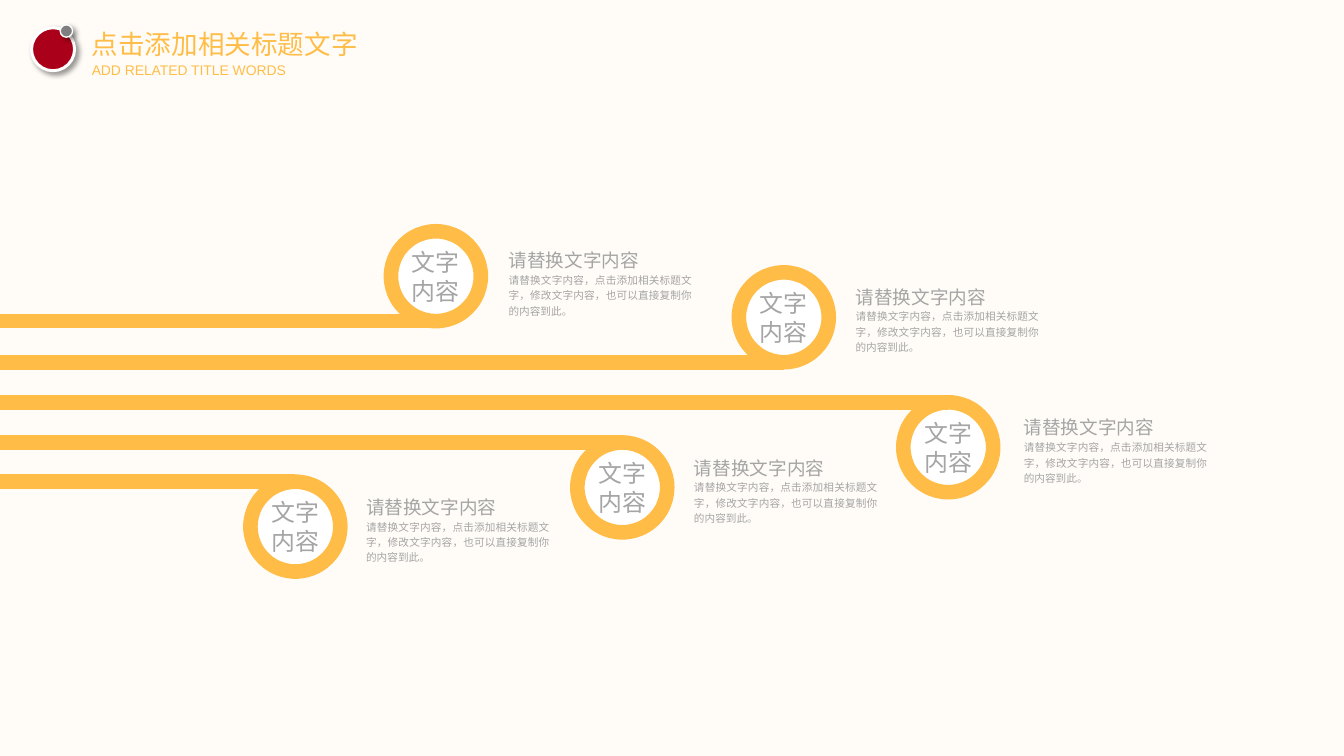
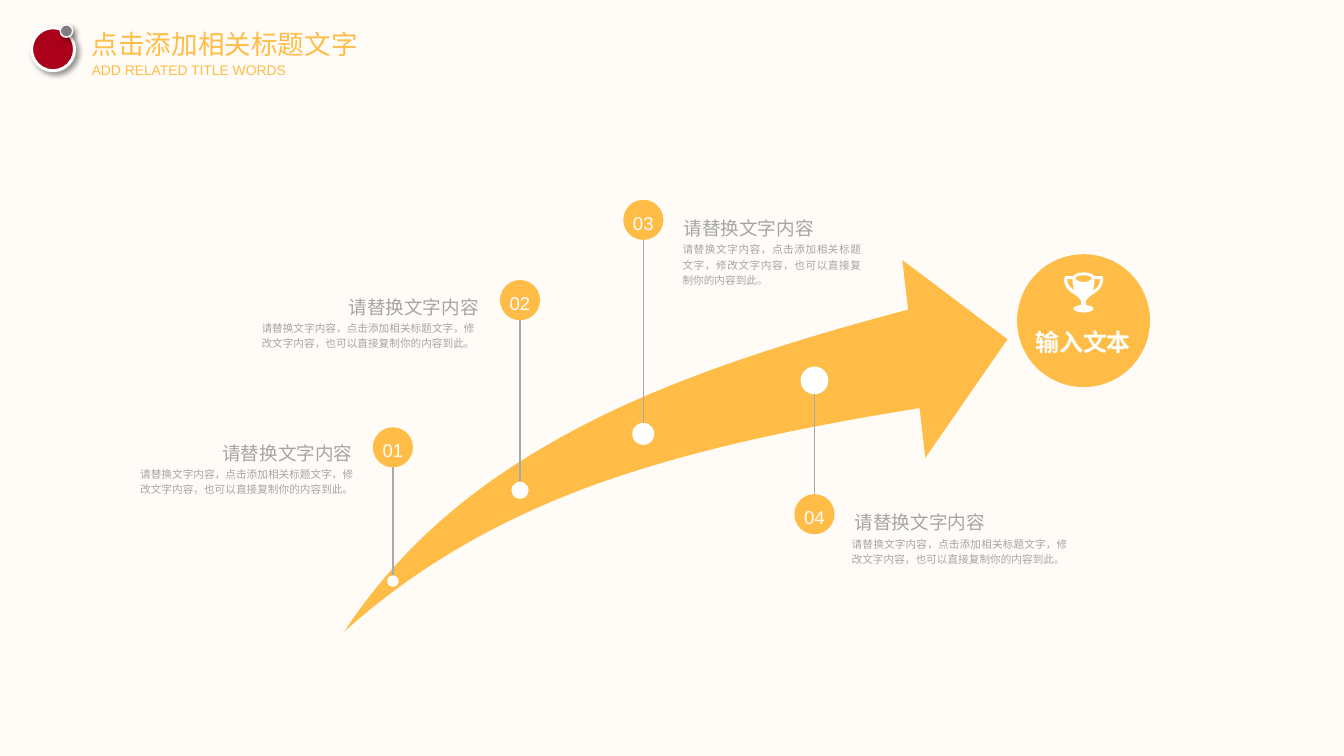
from lxml.etree import SubElement
from pptx import Presentation
from pptx.dml.color import RGBColor
from pptx.enum.shapes import MSO_CONNECTOR, MSO_SHAPE, MSO_SHAPE_TYPE
from pptx.enum.text import MSO_ANCHOR, MSO_AUTO_SIZE, PP_ALIGN
from pptx.oxml.ns import qn
from pptx.util import Pt

PX = 9144  # 100 px to the inch
ORANGE, GRAY, WHITE = "FFBD47", "A5A5A5", "FFFFFF"
LEFT, CENTER, RIGHT, JUSTIFY = PP_ALIGN.LEFT, PP_ALIGN.CENTER, PP_ALIGN.RIGHT, PP_ALIGN.JUSTIFY
TOP, MIDDLE = MSO_ANCHOR.TOP, MSO_ANCHOR.MIDDLE
HEADING = "请替换文字内容"
BODY = "请替换文字内容，点击添加相关标题文字，修改文字内容，也可以直接复制你的内容到此。"
rgb = RGBColor.from_string


def add_oval(s, left, top, size, fill, line=None, width=0):
    sp = s.shapes.add_shape(MSO_SHAPE.OVAL, *(int(v * PX) for v in (left, top, size, size)))
    sp.shadow.inherit = False
    sp.fill.solid()
    sp.fill.fore_color.rgb = rgb(fill)
    if line:
        sp.line.color.rgb = rgb(line)
        sp.line.width = Pt(width)
    else:
        sp.line.fill.background()
    return sp


def write(sp, text, size, color, align=LEFT, anchor=TOP, spacing=1.0, bold=False):
    """Fill a shape with one paragraph, without insets."""
    tf = sp.text_frame
    tf.text = text
    tf.word_wrap = True
    tf.auto_size = MSO_AUTO_SIZE.NONE
    tf.vertical_anchor = anchor
    tf.margin_left = tf.margin_top = tf.margin_right = tf.margin_bottom = 0
    p = tf.paragraphs[0]
    p.alignment = align
    p.line_spacing = spacing
    font = p.runs[0].font
    font.name = "Arial"
    font.size = Pt(size)
    font.bold = bold
    font.color.rgb = rgb(color)


prs = Presentation()
prs.slide_width, prs.slide_height = 1406 * PX, 791 * PX
bg = prs.slide_master.background.fill
bg.solid()
bg.fore_color.rgb = rgb("FFFCF8")

# Shared header
layout = prs.slide_layouts[5]
title = layout.placeholders[0]
title.left, title.top, title.width, title.height = (v * PX for v in (96, 29, 280, 34))
for _ in range(2):
    s = prs.slides.add_slide(layout)
    write(s.shapes.title, "点击添加相关标题文字", 20, ORANGE)
    subtitle = s.shapes.add_textbox(96 * PX, 64 * PX, 208 * PX, 18 * PX)
    write(subtitle, "ADD RELATED TITLE WORDS", 10.5, ORANGE)
    for left, top, size, fill, width in ((33, 29, 45, "AB0019", 2.25), (63, 26, 13, "7F7F7F", 1)):
        sp = add_oval(s, left, top, size, fill, WHITE, width)
        effects = sp._element.spPr.find(qn("a:effectLst"))
        shadow = SubElement(effects, qn("a:outerShdw"), blurRad="50800", dist="38100",
                            dir="2700000", algn="tl", rotWithShape="0")
        black = SubElement(shadow, qn("a:srgbClr"), val="000000")
        SubElement(black, qn("a:alpha"), val="40000")
rings_slide, arrow_slide = prs.slides

# Slide 1: rings at the ends of bars; left, top, bar y, caption left, caption top
RING = 94
rings = [
    (409, 242, 336, 532, 256),
    (773, 285, 379, 895, 294),
    (604, 463, 463, 726, 473),
    (945, 421, 421, 1071, 431),
    (262, 504, 504, 383, 514),
]
s = rings_slide
for left, top, bar_y, caption_x, caption_y in rings:
    ring = add_oval(s, left, top, RING, WHITE, ORANGE, 11)
    write(ring, "文字内容", 18, GRAY, CENTER, MIDDLE)
    bar = s.shapes.add_connector(MSO_CONNECTOR.STRAIGHT, (left + RING // 2) * PX, bar_y * PX,
                                 0, bar_y * PX)
    bar.line.color.rgb = rgb(ORANGE)
    bar.line.width = Pt(11)
    for text, size, y, w, h in ((HEADING, 14, caption_y, 148, 28), (BODY, 8, caption_y + 28, 192, 50)):
        sp = s.shapes.add_textbox(caption_x * PX, y * PX, w * PX, h * PX)
        write(sp, text, size, GRAY, JUSTIFY, spacing=1.2)

# Slide 2: arrow and trophy; in each contour two numbers are a point, six a curve
arrow = [[
    (360, 661), (415, 577, 490, 511, 586, 458), (684, 403, 806, 362, 950, 324),
    (944, 272), (1054, 355), (968, 479), (962, 427),
    (830, 448, 715, 473, 617, 509), (517, 546, 432, 596, 360, 661),
]]
trophy = [
    [(1116, 292), (1122, 292), (1122, 298, 1123, 302, 1125, 304), (1121, 302, 1117, 299, 1116, 292)],
    [(1134, 288), (1140, 288, 1142, 290, 1142, 291), (1142, 292, 1140, 295, 1134, 295),
     (1127, 295, 1125, 292, 1125, 291), (1125, 290, 1127, 288, 1134, 288)],
    [(1143, 304), (1144, 302, 1145, 298, 1145, 292), (1151, 292), (1151, 299, 1147, 302, 1143, 304)],
    [(1136, 316), (1136, 313, 1139, 311, 1143, 308), (1148, 305, 1154, 301, 1154, 291),
     (1154, 290, 1154, 289, 1153, 289), (1145, 289), (1144, 287, 1140, 285, 1134, 285),
     (1127, 285, 1124, 287, 1123, 289), (1115, 289), (1114, 289, 1113, 290, 1113, 291),
     (1113, 301, 1119, 305, 1124, 308), (1128, 311, 1131, 313, 1131, 316), (1131, 319),
     (1127, 320, 1123, 321, 1123, 323), (1123, 325, 1128, 327, 1134, 327),
     (1139, 327, 1144, 325, 1144, 323), (1144, 321, 1141, 320, 1136, 319)],
]
s = arrow_slide
add_oval(s, 1064, 266, 139, ORANGE)
for contours, fill in ((arrow, ORANGE), (trophy, WHITE)):
    builder = s.shapes.build_freeform(*contours[0][0], scale=PX)
    for i, (start, *segments) in enumerate(contours):
        if i:
            builder.move_to(*start)
        pts = [pt for seg in segments for pt in zip(seg[::2], seg[1::2])]
        builder.add_line_segments(pts, close=True)
    sp = builder.convert_to_shape()
    # Merge the three lines of each curve into one Bézier segment
    lines = iter(list(sp._element.iter(qn("a:lnTo"))))
    for start, *segments in contours:
        for seg in segments:
            curve = next(lines)
            if len(seg) == 6:
                curve.tag = qn("a:cubicBezTo")
                for _ in range(2):
                    line = next(lines)
                    curve.append(line[0])
                    line.getparent().remove(line)
    sp.shadow.inherit = False
    sp.fill.solid()
    sp.fill.fore_color.rgb = rgb(fill)
    sp.line.fill.background()
label = s.shapes.add_textbox(1082 * PX, 333 * PX, 102 * PX, 41 * PX)
write(label, "输入文本", 18, WHITE, CENTER, MIDDLE, 1.3, True)

# Milestones: centre x, badge y, dot y, dot size, heading box, body box, alignments
BADGE = 42
milestones = [
    (411, 468, 608, 12, (210, 459, 159, 26), (144, 487, 226, 32), RIGHT, RIGHT),
    (544, 314, 513, 18, (329, 306, 172, 26), (271, 334, 226, 31), RIGHT, RIGHT),
    (673, 230, 454, 23, (715, 222, 147, 28), (714, 252, 187, 48), LEFT, JUSTIFY),
    (852, 538, 398, 29, (894, 530, 147, 28), (891, 560, 226, 32), LEFT, JUSTIFY),
]
for n, (x, badge_y, dot_y, dot, heading_box, body_box, heading_align, body_align) in enumerate(milestones, 1):
    stem = s.shapes.add_connector(MSO_CONNECTOR.STRAIGHT, x * PX, dot_y * PX, x * PX, badge_y * PX)
    stem.line.color.rgb = rgb("A6AAA9")
    stem.line.width = Pt(1)
    badge = add_oval(s, x - BADGE // 2, badge_y - BADGE // 2, BADGE, ORANGE)
    write(badge, f"{n:02}", 14, "FCFCFC", CENTER, MIDDLE, 1.2)
    badge.text_frame.margin_top = 2 * PX
    add_oval(s, x - dot / 2, dot_y - dot / 2, dot, WHITE)
    for text, size, box, align, anchor in ((HEADING, 14, heading_box, heading_align, MIDDLE),
                                           (BODY, 8, body_box, body_align, TOP)):
        sp = s.shapes.add_textbox(*(v * PX for v in box))
        write(sp, text, size, GRAY, align, anchor, 1.2)

# Connectors without shadow
for s in prs.slides:
    for sp in s.shapes:
        if sp.shape_type == MSO_SHAPE_TYPE.LINE:
            SubElement(sp._element.spPr, qn("a:effectLst"))

prs.save("out.pptx")
